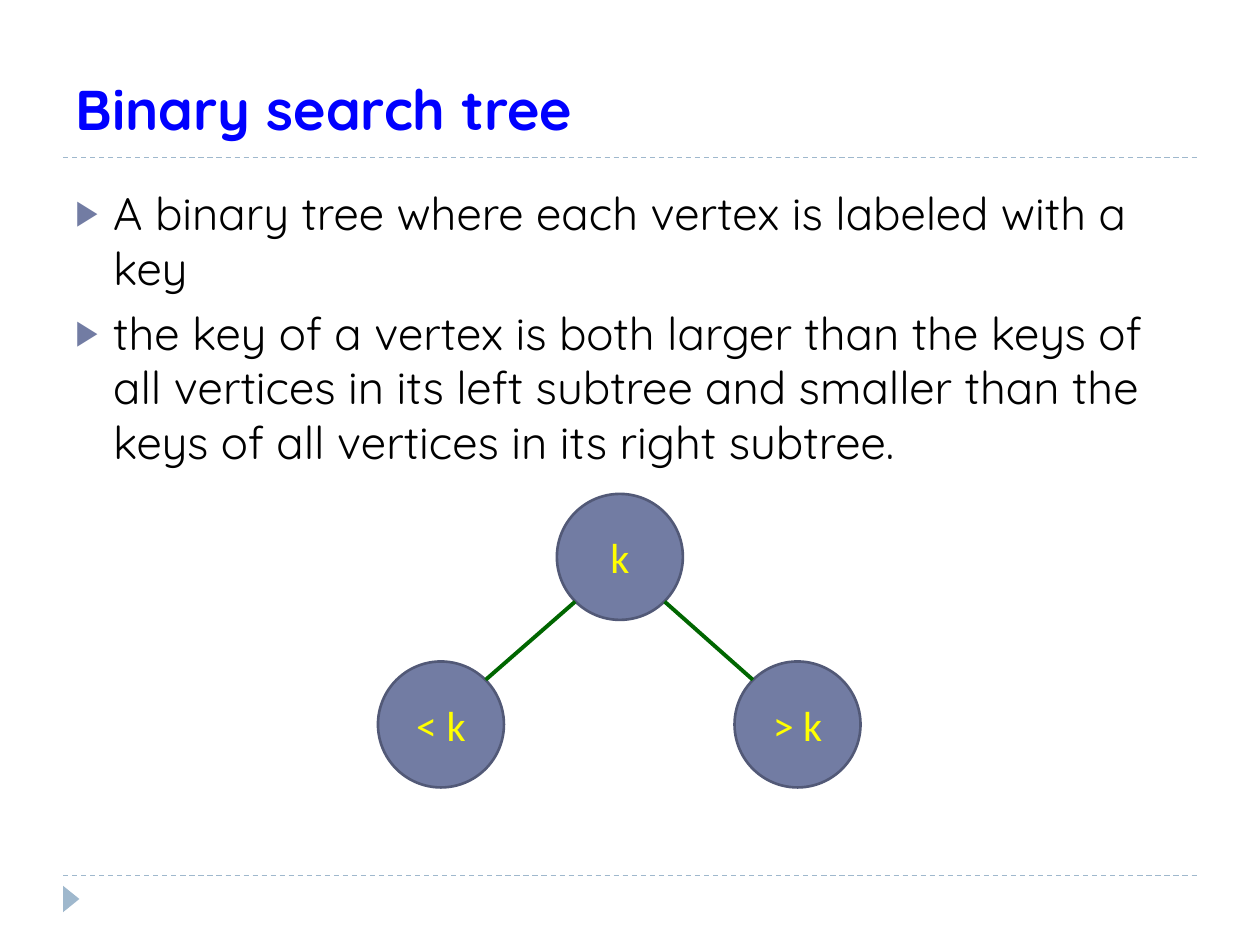
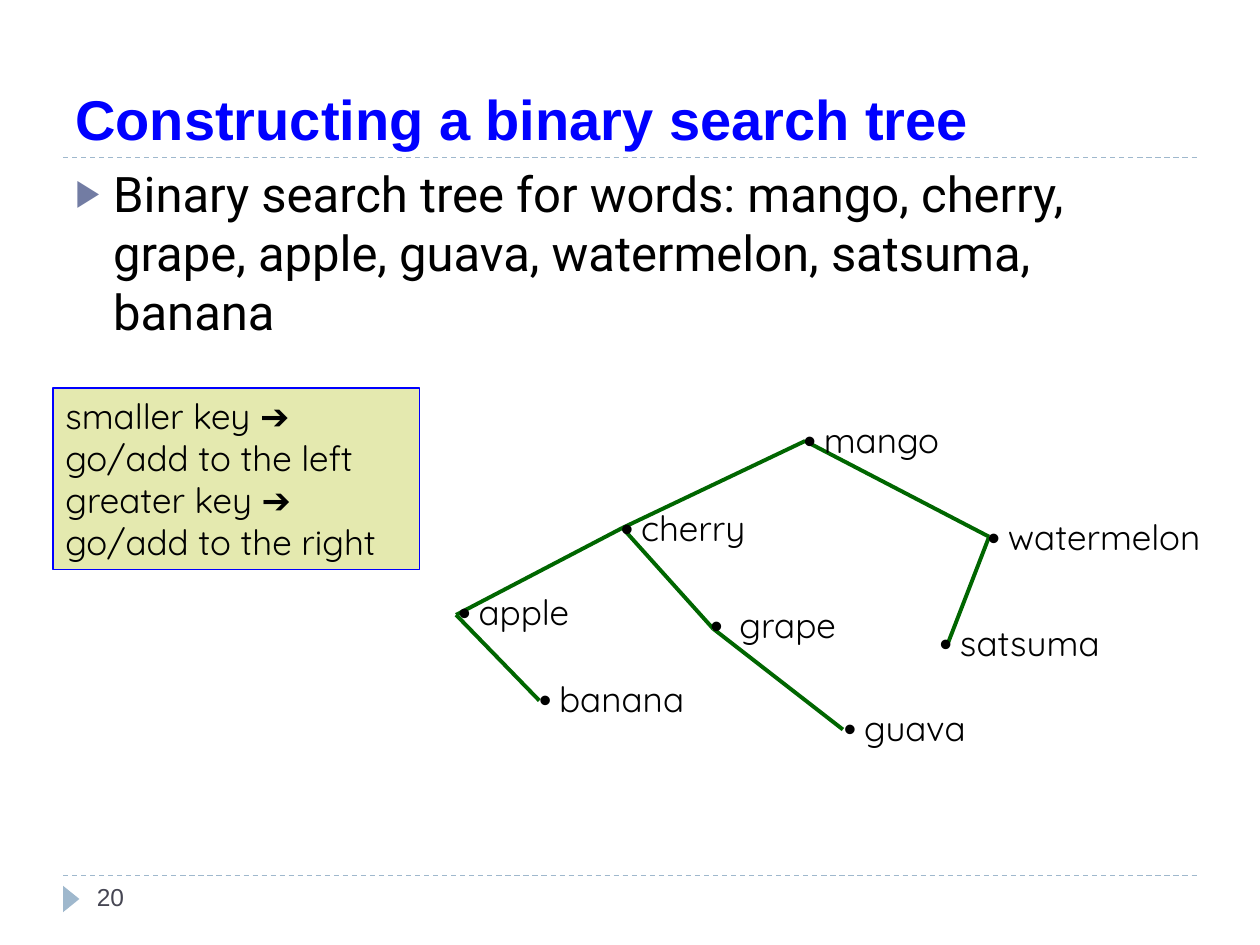
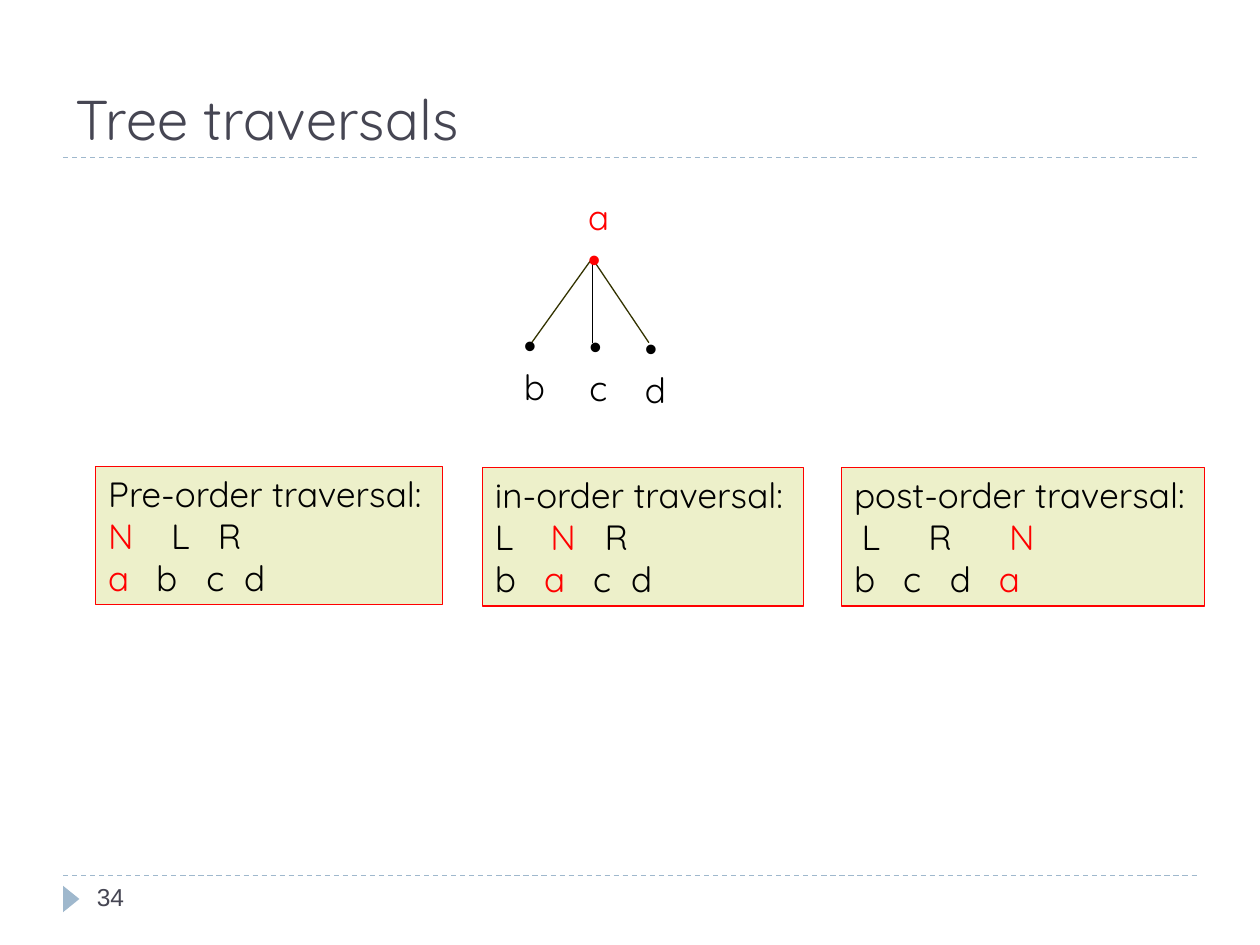
"""Build three slides on binary search trees and tree traversals."""
from lxml import etree
from pptx import Presentation
from pptx.dml.color import RGBColor
from pptx.enum.dml import MSO_LINE
from pptx.enum.shapes import MSO_CONNECTOR, MSO_SHAPE
from pptx.enum.text import MSO_ANCHOR, PP_ALIGN
from pptx.oxml.ns import qn
from pptx.util import Emu, Pt

PX = 9144
STRAIGHT = MSO_CONNECTOR.STRAIGHT
DASH = MSO_LINE.DASH
RECTANGLE, OVAL, TRIANGLE = MSO_SHAPE.RECTANGLE, MSO_SHAPE.OVAL, MSO_SHAPE.ISOSCELES_TRIANGLE
TOP, MIDDLE, BOTTOM = MSO_ANCHOR.TOP, MSO_ANCHOR.MIDDLE, MSO_ANCHOR.BOTTOM
CENTER = PP_ALIGN.CENTER

BLACK, RED, BLUE, GREEN, YELLOW = "000000", "FF0000", "0000FF", "006600", "FFFF00"
SLATE, DARK_SLATE, PALE_BLUE, INK = "727CA3", "525977", "9FB8CD", "464653"
OLIVE, LEMON, CREAM = "333300", "E4E9AF", "EDF0CA"

LABEL = {"name": "Quicksand", "size": 20, "color": BLACK}
DOT = {"name": "Arial"}
KEY = {"color": RED}
BLUE_TITLE = {"name": "Quicksand", "size": 32, "color": BLUE, "bold": True}
PLAIN_TITLE = {"name": "Quicksand", "size": 32, "color": INK}
NUMBER = {"name": "Arial", "size": 14, "color": INK}
NODE = {"name": "Calibri", "size": 24, "color": YELLOW}

DEFINITION = [
    "A binary tree where each vertex is labeled with a key",
    "the key of a vertex is both larger than the keys of all vertices in its left subtree"
    " and smaller than the keys of all vertices in its right subtree.",
]
DIAMETER = 100
ROOT = ("k", 442, 392)
CHILDREN = [("< k", 300, 525), ("> k", 583, 525)]

WORDS = ["Binary search tree for words: mango, cherry, grape, apple, guava, "
         "watermelon, satsuma, banana"]
WORD_NODES = {
    "mango": ((628, 327), (639, 350)),
    "cherry": ((483, 397), (494, 419)),
    "grape": ((554, 474), (566, 499)),
    "apple": ((354, 464), (362, 488)),
    "guava": ((660, 556), (669, 579)),
    "watermelon": ((774, 404), (785, 426)),
    "satsuma": ((736, 488), (751, 514)),
    "banana": ((418, 533), (428, 556)),
}
WORD_EDGES = [("mango", "cherry"), ("cherry", "grape"), ("cherry", "apple"),
              ("grape", "guava"), ("mango", "watermelon"),
              ("watermelon", "satsuma"), ("apple", "banana")]
WORD_GAP = 16
WIDE_GAPS = {"grape": 23}
RULES = [("smaller key ", " go/add to the left"), ("greater key ", " go/add to the right")]

PARENT = (470, 205)
BRANCHES = [("b", 406, 252, 422, OLIVE), ("c", 458, 253, 470, BLACK), ("d", 502, 254, 515, OLIVE)]
BRANCH_END = 272
TRAVERSALS = [
    ("Pre-order traversal:", (76, 370, 275, 110),
     [("N", 0), ("L", 50), ("R", 87)], [("a", 0), ("b", 38), ("c", 78), ("d", 108)]),
    ("in-order traversal:", (383, 371, 255, 110),
     [("L", 0), ("N", 44), ("R", 87)], [("b", 0), ("a", 39), ("c", 78), ("d", 108)]),
    ("post-order traversal:", (668, 371, 288, 110),
     [("L", 6), ("R", 59), ("N", 123)], [("b", 0), ("c", 39), ("d", 76), ("a", 115)]),
]


def px(*lengths):
    """Turn px into EMU."""
    return [Emu(round(length * PX)) for length in lengths]


def rgb(color):
    """Turn a hex string into a colour."""
    return RGBColor.from_string(color)


def add_line(slide, start, end, color, width, dash=None):
    """Draw a straight line without shadow."""
    line = slide.shapes.add_connector(STRAIGHT, *px(*start, *end))
    line.line.color.rgb = rgb(color)
    line.line.width = Pt(width)
    if dash:
        line.line.dash_style = dash
    etree.SubElement(line._element.spPr, qn("a:effectLst"))


def add_shape(slide, kind, box, fill, outline=None, width=0.75):
    """Draw a filled preset shape."""
    shape = slide.shapes.add_shape(kind, *px(*box))
    shape.shadow.inherit = False
    shape.fill.solid()
    shape.fill.fore_color.rgb = rgb(fill)
    if outline:
        shape.line.color.rgb = rgb(outline)
        shape.line.width = Pt(width)
    else:
        shape.line.fill.background()
    return shape


def set_font(font, style):
    """Apply a dict of format values to a font."""
    for key, value in style.items():
        if key == "color":
            font.color.rgb = rgb(value)
        else:
            setattr(font, key, Pt(value) if key == "size" else value)


def add_bullet(paragraph):
    """Give a paragraph a triangle bullet and hanging indent."""
    paragraph.space_before = Pt(6)
    properties = paragraph._p.get_or_add_pPr()
    indent = px(30)[0]
    properties.set("marL", str(indent))
    properties.set("indent", str(-indent))
    color = etree.SubElement(properties, qn("a:buClr"))
    etree.SubElement(color, qn("a:srgbClr"), val=SLATE)
    etree.SubElement(properties, qn("a:buSzPct"), val="76000")
    etree.SubElement(properties, qn("a:buFont"), typeface="Arial")
    etree.SubElement(properties, qn("a:buChar"), char="▶")


def add_tabs(paragraph, stops):
    """Set left tab stops on a paragraph."""
    tabs = etree.SubElement(paragraph._p.get_or_add_pPr(), qn("a:tabLst"))
    for stop in px(*stops):
        etree.SubElement(tabs, qn("a:tab"), pos=str(stop), algn="l")


def write(shape, paragraphs, style, anchor=TOP, align=PP_ALIGN.LEFT, bullets=False, stops=()):
    """Fill a shape with paragraphs, each a list of runs with style changes."""
    frame = shape.text_frame
    frame.word_wrap = True
    frame.vertical_anchor = anchor
    for index, runs in enumerate(paragraphs):
        paragraph = frame.add_paragraph() if index else frame.paragraphs[0]
        paragraph.alignment = align
        if bullets:
            add_bullet(paragraph)
        if index < len(stops) and stops[index]:
            add_tabs(paragraph, stops[index])
        for text, changes in runs:
            run = paragraph.add_run()
            run.text = text
            set_font(run.font, {**style, **changes})


def add_text(slide, box, paragraphs, style, **options):
    """Add a text box."""
    write(slide.shapes.add_textbox(*px(*box)), paragraphs, style, **options)


def add_body(slide, top, texts, font, size):
    """Add the bulleted body text."""
    add_text(slide, (50, top, 900, 495), [[(text, {})] for text in texts],
             {"name": font, "size": size, "color": BLACK}, bullets=True)


def add_slide(presentation, title, style, top=0, number=None):
    """Add a slide with rules, corner mark, title and page number."""
    slide = presentation.slides.add_slide(presentation.slide_layouts[6])
    for height in (695, 125):
        add_line(slide, (50, height), (950, height), PALE_BLUE, 0.75, DASH)
    add_shape(slide, TRIANGLE, (46, 707, 21, 13), PALE_BLUE).rotation = 90
    add_text(slide, (50, top, 900, 125), [[(title, {})]], style, anchor=BOTTOM)
    if number:
        add_text(slide, (67, 695, 217, 40), [[(number, {})]], NUMBER)
    return slide


def build_definition(presentation):
    """Build the slide that defines the tree."""
    slide = add_slide(presentation, "Binary search tree", BLUE_TITLE, top=-8)
    add_body(slide, 142, DEFINITION, "Quicksand", 26)
    for text, left, top in [ROOT, *CHILDREN]:
        circle = add_shape(slide, OVAL, (left, top, DIAMETER, DIAMETER), SLATE, DARK_SLATE, 1.5)
        write(circle, [[(text, {})]], NODE, anchor=MIDDLE, align=CENTER)
    radius = DIAMETER / 2
    reach = radius * 0.71
    root_x, root_y = ROOT[1] + radius, ROOT[2] + radius
    for _, left, top in CHILDREN:
        side = reach if left > ROOT[1] else -reach
        add_line(slide, (root_x + side, root_y + reach),
                 (left + radius - side, top + radius - reach), GREEN, 2.25)


def build_words(presentation):
    """Build the slide with the tree of words."""
    slide = add_slide(presentation, "Constructing a binary search tree",
                      {**BLUE_TITLE, "name": "Arial"}, number="20")
    add_body(slide, 125, WORDS, "Roboto", 28)
    for parent, child in WORD_EDGES:
        add_line(slide, WORD_NODES[parent][1], WORD_NODES[child][1], GREEN, 2.25)
    for word, (corner, _) in WORD_NODES.items():
        add_text(slide, (*corner, 200, 44), [[("•", DOT), ("\t" + word, {})]], LABEL,
                 stops=[[WIDE_GAPS.get(word, WORD_GAP)]])
    panel = add_shape(slide, RECTANGLE, (42, 308, 291, 144), LEMON, BLUE)
    write(panel, [[(test, {}), ("➔", DOT), (step, {})] for test, step in RULES], LABEL)


def build_traversals(presentation):
    """Build the slide that compares the traversals."""
    slide = add_slide(presentation, "Tree traversals", PLAIN_TITLE, number="34")
    for _, _, _, end, color in BRANCHES:
        add_line(slide, PARENT, (end, BRANCH_END), color, 0.75)
    for name, left, top, _, _ in BRANCHES:
        add_text(slide, (left, top, 40, 77), [[("•", DOT)], [(name, {})]], LABEL)
    add_text(slide, (457, 150, 40, 77), [[("a", {})], [("•", DOT)]], {**LABEL, **KEY})
    for heading, box, *rows in TRAVERSALS:
        paragraphs, stops = [[(heading, {})]], [[]]
        for row in rows:
            paragraphs.append([("\t" * bool(stop) + text, KEY if text in "Na" else {})
                               for text, stop in row])
            stops.append([stop for _, stop in row if stop])
        panel = add_shape(slide, RECTANGLE, box, CREAM, RED)
        write(panel, paragraphs, LABEL, stops=stops)


def main():
    """Build and save the presentation."""
    presentation = Presentation()
    presentation.slide_width, presentation.slide_height = px(1000, 750)
    build_definition(presentation)
    build_words(presentation)
    build_traversals(presentation)
    presentation.save("out.pptx")


if __name__ == "__main__":
    main()
